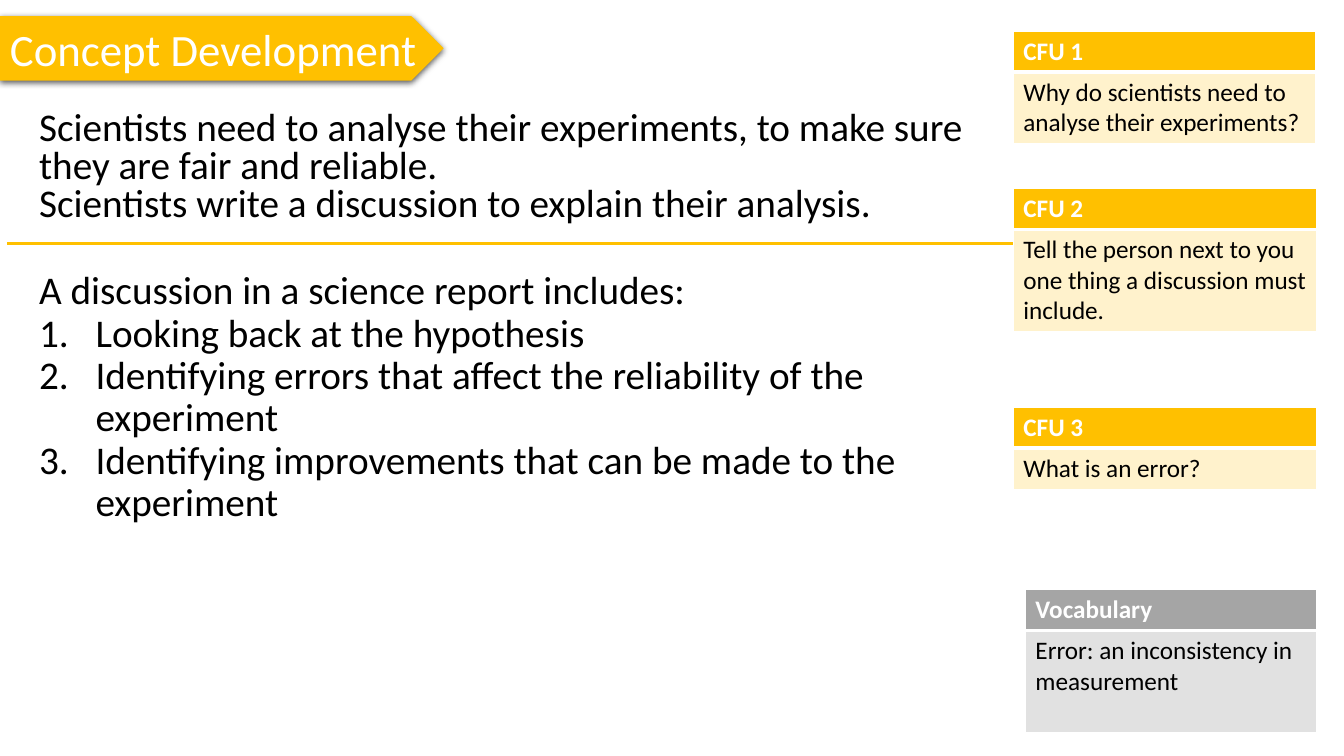
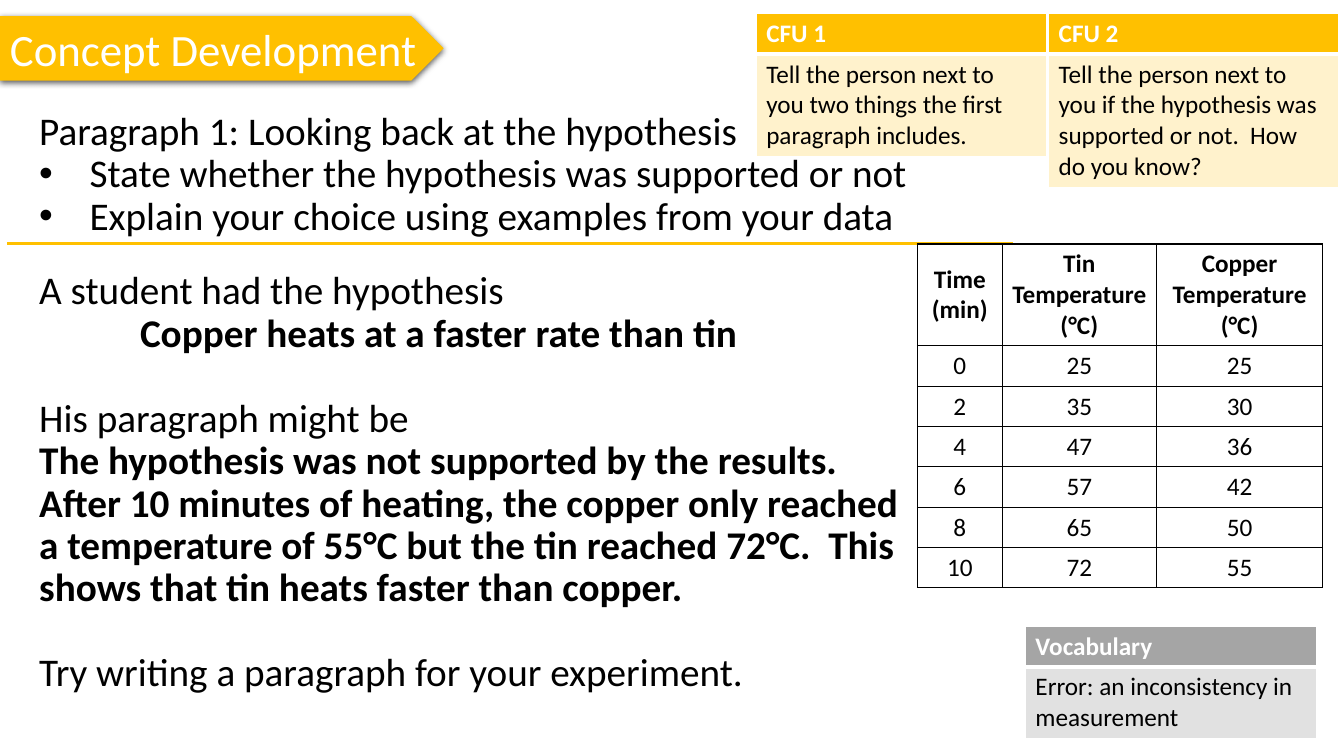
from dataclasses import dataclass

from lxml import etree
from pptx import Presentation
from pptx.dml.color import RGBColor
from pptx.enum import shapes, text
from pptx.oxml import ns
from pptx.util import Inches, Pt

FONT = "Calibri"
GOLD = RGBColor(0xFF, 0xC0, 0x00)
CREAM = RGBColor(0xFF, 0xF2, 0xCC)
GREY = RGBColor(0xA5, 0xA5, 0xA5)
PALE = RGBColor(0xE1, 0xE1, 0xE1)
WHITE = RGBColor(0xFF, 0xFF, 0xFF)
BLACK = RGBColor(0x00, 0x00, 0x00)

HEAD = 0.4  # height of a card's title row
LEFT = 0.29
GAP = 30.5  # one skipped line of body text, in points


@dataclass
class Para:
    text: str
    bold: bool = False
    mark: str = ""
    indent: float = 0
    gap: float = 0


@dataclass
class Card:
    title: str
    body: str
    left: float
    top: float
    width: float
    height: float
    dark: RGBColor = GOLD
    light: RGBColor = CREAM


def vocab(top: float, height: float) -> Card:
    return Card("Vocabulary", "Error: an inconsistency in measurement",
                10.17, top, 2.89, height, GREY, PALE)


def sub(parent, tag: str, **attrs):
    return etree.SubElement(parent, ns.qn(tag), attrs)


def add_run(para, words: str, size: float, color: RGBColor, bold: bool = False) -> None:
    run = para.add_run()
    run.text = words
    font = run.font
    font.name, font.size, font.bold = FONT, Pt(size), bold
    font.color.rgb = color


def add_mark(para, item: Para) -> None:
    """Indent a paragraph and give it its number or bullet."""
    props = para._p.get_or_add_pPr()
    props.set("marL", str(Inches(item.indent)))
    if item.mark == "1.":
        props.set("indent", str(-Inches(item.indent)))
        sub(props, "a:buFont", typeface="+mj-lt")
        sub(props, "a:buAutoNum", type="arabicPeriod")
    elif item.mark:
        props.set("indent", str(-Inches(item.indent)))
        sub(props, "a:buFont", typeface="Arial")
        sub(props, "a:buChar", char=item.mark)


def add_text(slide, top: float, width: float, height: float,
             items: list[Para], lead: float = 0.9) -> None:
    box = slide.shapes.add_textbox(Inches(LEFT), Inches(top), Inches(width), Inches(height))
    frame = box.text_frame
    frame.word_wrap = True
    for i, item in enumerate(items):
        para = frame.add_paragraph() if i else frame.paragraphs[0]
        if item.indent:
            add_mark(para, item)
        para.line_spacing = lead
        if item.gap:
            para.space_before = Pt(item.gap)
        add_run(para, item.text, 28, BLACK, item.bold)


def add_edges(cell, color: RGBColor, top: float = 1, base: float = 1) -> None:
    """Draw the four borders of a cell; call before setting its fill."""
    props = cell._tc.get_or_add_tcPr()
    for side, width in (("L", 1), ("R", 1), ("T", top), ("B", base)):
        line = sub(props, f"a:ln{side}", w=str(Pt(width)))
        sub(sub(line, "a:solidFill"), "a:srgbClr", val=str(color))


def add_grid(slide, left: float, top: float, cols: list[float], rows: list[float]):
    frame = slide.shapes.add_table(len(rows), len(cols), Inches(left), Inches(top),
                                   Inches(sum(cols)), Inches(sum(rows)))
    table = frame.table
    table.first_row = table.horz_banding = False
    for col, width in zip(table.columns, cols):
        col.width = Inches(width)
    for row, height in zip(table.rows, rows):
        row.height = Inches(height)
    return table


def add_card(slide, card: Card) -> None:
    table = add_grid(slide, card.left, card.top, [card.width], [HEAD, card.height - HEAD])
    title, body = table.cell(0, 0), table.cell(1, 0)
    add_edges(title, WHITE, base=3)
    add_edges(body, WHITE, top=3)
    for cell, words, fill, ink in ((title, card.title, card.dark, WHITE),
                                   (body, card.body, card.light, BLACK)):
        cell.fill.solid()
        cell.fill.fore_color.rgb = fill
        add_run(cell.text_frame.paragraphs[0], words, 18, ink, cell is title)


def add_data(slide, left: float, top: float, cols: list[float],
             data: list[tuple]) -> None:
    rows = [1.01] + [0.4] * (len(data) - 1)
    table = add_grid(slide, left, top, cols, rows)
    for r, values in enumerate(data):
        for c, value in enumerate(values):
            cell = table.cell(r, c)
            add_edges(cell, BLACK)
            cell.fill.background()
            cell.vertical_anchor = text.MSO_ANCHOR.MIDDLE
            para = cell.text_frame.paragraphs[0]
            para.alignment = text.PP_ALIGN.CENTER
            add_run(para, str(value), 18, BLACK, r == 0)


def add_banner(slide, words: str) -> None:
    banner = slide.shapes.add_shape(shapes.MSO_SHAPE.PENTAGON, 0, Inches(0.16),
                                    Inches(4.4), Inches(0.64))
    banner.fill.solid()
    banner.fill.fore_color.rgb = GOLD
    banner.line.fill.background()
    banner.shadow.inherit = False
    effects = banner._element.spPr.find(ns.qn("a:effectLst"))
    shade = sub(effects, "a:outerShdw", blurRad=str(Pt(4.5)), dist=str(Pt(1.5)),
                dir="5400000", algn="ctr", rotWithShape="0")
    sub(sub(shade, "a:srgbClr", val=str(BLACK)), "a:alpha", val="63000")
    frame = banner.text_frame
    frame.word_wrap = False
    frame.vertical_anchor = text.MSO_ANCHOR.MIDDLE
    para = frame.paragraphs[0]
    para.alignment = text.PP_ALIGN.LEFT
    add_run(para, words, 32, WHITE)


def add_rule(slide) -> None:
    rule = slide.shapes.add_connector(shapes.MSO_CONNECTOR.STRAIGHT, Inches(0.07),
                                      Inches(2.42), Inches(10.05), Inches(2.42))
    rule.line.color.rgb = GOLD
    rule.line.width = Pt(2.25)
    sub(rule._element.spPr, "a:effectLst")


def new_slide(deck, cards: list[Card]):
    """Add a slide with the shared banner, rule and side cards."""
    slide = deck.slides.add_slide(deck.slide_layouts[6])
    add_banner(slide, "Concept Development")
    add_rule(slide)
    for card in cards:
        add_card(slide, card)
    return slide


def add_intro(deck) -> None:
    slide = new_slide(deck, [
        vocab(5.85, 1.41),
        Card("CFU 1", "Why do scientists need to analyse their experiments?",
             10.05, 0.31, 3, 1.1),
        Card("CFU 2", "Tell the person next to you one thing a discussion must include.",
             10.05, 1.87, 3.01, 1.4),
        Card("CFU 3", "What is an error?", 10.05, 4.04, 3.01, 0.81),
    ])
    add_text(slide, 1.06, 9.76, 1.32, [
        Para("Scientists need to analyse their experiments, to make sure "
             "they are fair and reliable."),
        Para("Scientists write a discussion to explain their analysis."),
    ], 0.8)
    steps = ["Looking back at the hypothesis",
             "Identifying errors that affect the reliability of the experiment",
             "Identifying improvements that can be made to the experiment"]
    add_text(slide, 2.64, 10.06, 3.44,
             [Para("A discussion in a science report includes:")]
             + [Para(step, mark="1.", indent=0.56) for step in steps])


def add_model(deck) -> None:
    slide = new_slide(deck, [
        vocab(6.21, 1.11),
        Card("CFU 1", "Tell the person next to you two things the first "
             "paragraph includes.", 7.5, 0.13, 2.88, 1.4),
        Card("CFU 2", "Tell the person next to you if the hypothesis was "
             "supported or not.  How do you know?", 10.4, 0.13, 2.88, 1.7),
    ])
    points = ["State whether the hypothesis was supported or not",
              "Explain your choice using examples from your data"]
    add_text(slide, 1.06, 10.06, 1.47,
             [Para("Paragraph 1: Looking back at the hypothesis")]
             + [Para(point, mark="•", indent=0.5) for point in points])
    add_text(slide, 2.64, 8.75, 4.53, [
        Para("A student had the hypothesis"),
        Para("Copper heats at a faster rate than tin", bold=True, indent=1),
        Para("His paragraph might be", gap=GAP),
        Para("The hypothesis was not supported by the results.  After 10 minutes "
             "of heating, the copper only reached a temperature of 55°C but the "
             "tin reached 72°C.  This shows that tin heats faster than copper.",
             bold=True),
        Para("Try writing a paragraph for your experiment.", gap=GAP),
    ])
    add_data(slide, 9.1, 2.42, [0.84, 1.53, 1.65], [
        ("Time (min)", "Tin Temperature (°C)", "Copper Temperature (°C)"),
        (0, 25, 25),
        (2, 35, 30),
        (4, 47, 36),
        (6, 57, 42),
        (8, 65, 50),
        (10, 72, 55),
    ])


def main() -> None:
    deck = Presentation()
    deck.slide_width, deck.slide_height = Inches(13.33), Inches(7.5)
    add_intro(deck)
    add_model(deck)
    deck.save("out.pptx")


if __name__ == "__main__":
    main()
